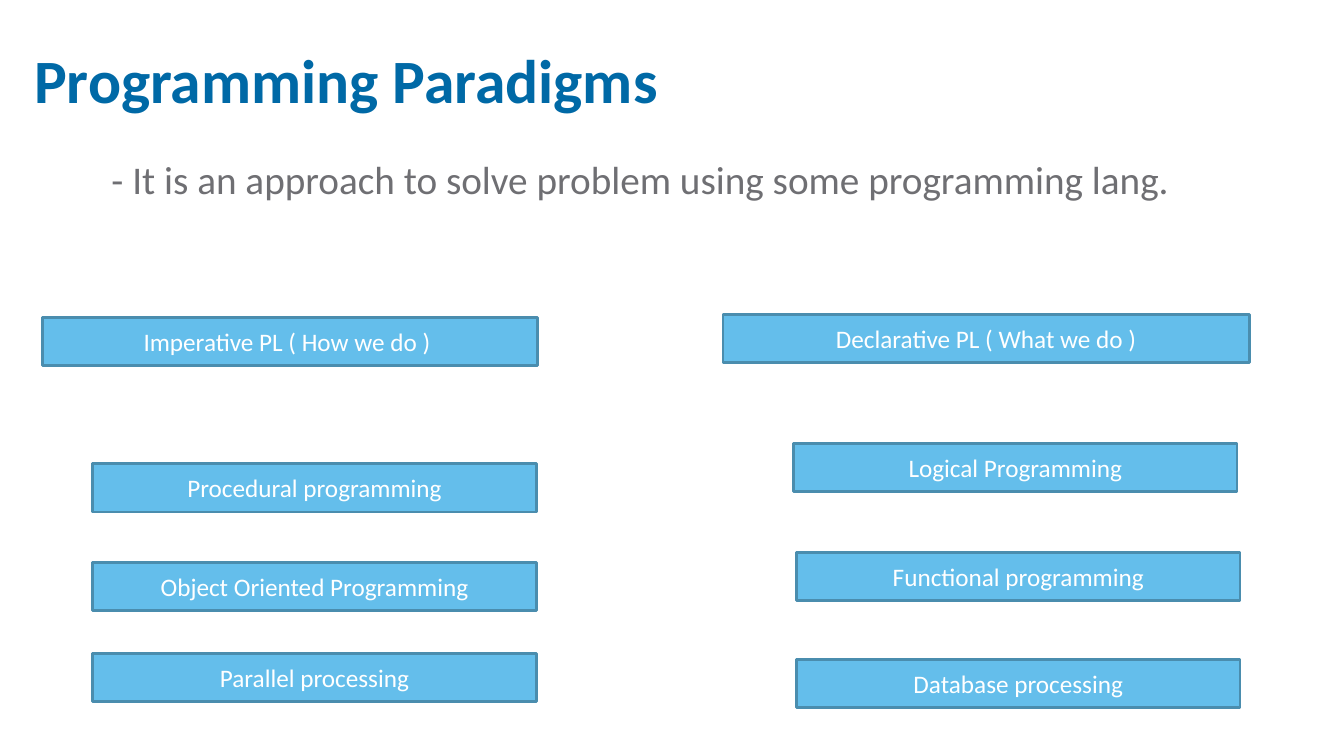
from pptx import Presentation
from pptx.dml.color import RGBColor
from pptx.enum.shapes import MSO_SHAPE
from pptx.enum.text import MSO_ANCHOR, PP_ALIGN
from pptx.util import Inches, Pt

RECTANGLE = MSO_SHAPE.RECTANGLE
TOP, MIDDLE = MSO_ANCHOR.TOP, MSO_ANCHOR.MIDDLE
LEFT, CENTER = PP_ALIGN.LEFT, PP_ALIGN.CENTER

COLORS = {
    "title": "0069A6",
    "body": "6F6F73",
    "box": "64BEEB",
    "border": "4A8DAE",
    "box_text": "FFFFFF",
}
FORMATS = {
    "title": {"size": Pt(44), "bold": True, "name": "Calibri"},
    "body": {"size": Pt(28), "bold": False, "name": "Calibri"},
    "box_text": {"size": Pt(18), "bold": False, "name": "Calibri"},
}
BOX_HEIGHT = 0.48
CHILD_WIDTH = 4.4

TITLE_BOX = (0.21, 0.37, 6.45, 0.84)
DEFINITION_BOX = (0.92, 1.49, 11.46, 0.57)
FAMILIES = [
    {
        "origin": (0.42, 3.15),
        "width": 4.91,
        "heading": "Imperative PL ( How we do ) ",
        "children": [
            ("Procedural programming", 0.5, 1.45),
            ("Object Oriented Programming", 0.5, 2.43),
            ("Parallel processing", 0.5, 3.33),
        ],
    },
    {
        "origin": (7.17, 3.12),
        "width": 5.22,
        "heading": "Declarative PL ( What we do )",
        "children": [
            ("Logical Programming", 0.7, 1.28),
            ("Functional programming", 0.73, 2.36),
            ("Database processing", 0.73, 3.42),
        ],
    },
]


def color(name):
    """Return the named colour."""
    return RGBColor.from_string(COLORS[name])


def write_text(shape, text, style, alignment, anchor, wrap=True):
    """Put one formatted paragraph in a shape."""
    frame = shape.text_frame
    frame.word_wrap = wrap
    frame.vertical_anchor = anchor
    paragraph = frame.paragraphs[0]
    paragraph.alignment = alignment
    run = paragraph.add_run()
    run.text = text
    for attribute, value in FORMATS[style].items():
        setattr(run.font, attribute, value)
    run.font.color.rgb = color(style)


def add_title(slide, box, text):
    """Move the title placeholder into its box and fill it."""
    title = slide.shapes.title
    for attribute, value in zip(("left", "top", "width", "height"), box):
        setattr(title, attribute, Inches(value))
    write_text(title, text, "title", CENTER, TOP, wrap=False)


def add_definition(slide, box, text):
    """Add the definition line under the title."""
    text_box = slide.shapes.add_textbox(*map(Inches, box))
    write_text(text_box, text, "body", LEFT, TOP)


def add_label(slide, left, top, width, text):
    """Add one filled and bordered label."""
    bounds = map(Inches, (left, top, width, BOX_HEIGHT))
    label = slide.shapes.add_shape(RECTANGLE, *bounds)
    label.shadow.inherit = False
    label.fill.solid()
    label.fill.fore_color.rgb = color("box")
    label.line.color.rgb = color("border")
    label.line.width = Pt(2)
    write_text(label, text, "box_text", CENTER, MIDDLE)


def add_family(slide, origin, width, heading, children):
    """Add a paradigm heading with its kinds placed below it."""
    left, top = origin
    add_label(slide, left, top, width, heading)
    for text, indent, drop in children:
        add_label(slide, left + indent, top + drop, CHILD_WIDTH, text)


def main():
    """Build and save the presentation."""
    presentation = Presentation()
    presentation.slide_width = Inches(13.33)
    presentation.slide_height = Inches(7.5)
    slide = presentation.slides.add_slide(presentation.slide_layouts[5])
    add_title(slide, TITLE_BOX, "Programming Paradigms")
    add_definition(
        slide,
        DEFINITION_BOX,
        " - It is an approach to solve problem using some programming lang.",
    )
    for family in FAMILIES:
        add_family(slide, **family)
    presentation.save("out.pptx")


if __name__ == "__main__":
    main()
